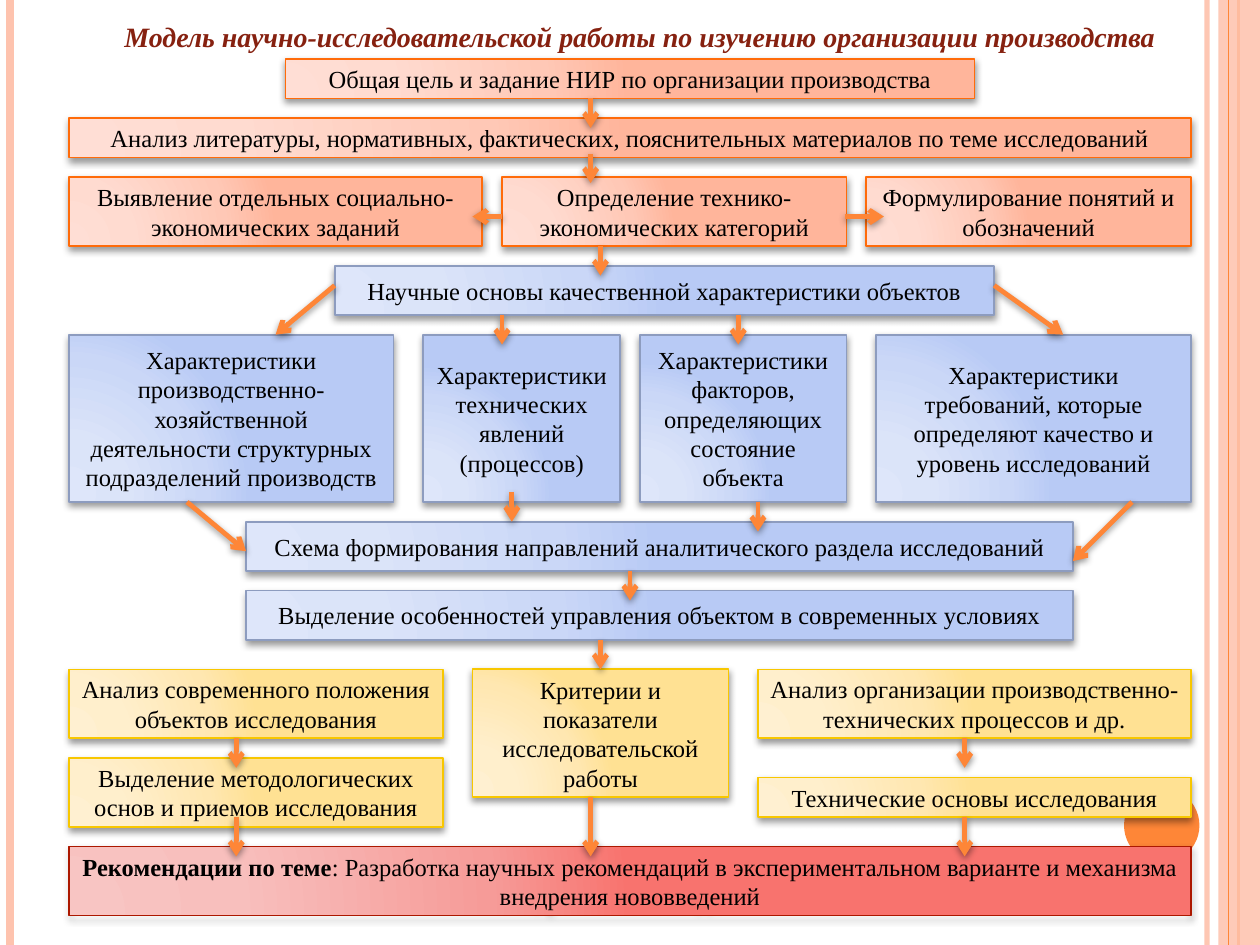
from lxml.etree import SubElement
from pptx import Presentation
from pptx.dml.color import RGBColor as RGB
from pptx.enum.shapes import MSO_CONNECTOR as CONN, MSO_SHAPE as SHAPE
from pptx.enum.text import MSO_ANCHOR as ANCHOR, PP_ALIGN as ALIGN
from pptx.oxml import parse_xml
from pptx.oxml.ns import nsdecls, qn
from pptx.util import Cm, Pt

FONT = "Times New Roman"
BLACK = RGB(0x00, 0x00, 0x00)
TITLE_RED = RGB(0x86, 0x21, 0x10)
ORANGE = RGB(0xFE, 0x86, 0x37)
PEACH = RGB(0xFE, 0xC3, 0xAE)

# Each palette: outline, then the gradient colours at GRADIENT_STOPS
GRADIENT_STOPS = (0, 30, 75, 100)
CORAL = (RGB(0xFF, 0x6B, 0x0A), RGB(0xFF, 0xDE, 0xD5), RGB(0xFF, 0xDB, 0xD0),
         RGB(0xFF, 0xC8, 0xB6), RGB(0xFF, 0xB5, 0x9B))
BLUE = (RGB(0x8D, 0x9C, 0xBF), RGB(0xDE, 0xE6, 0xFA), RGB(0xDB, 0xE4, 0xF9),
        RGB(0xCA, 0xD7, 0xF7), RGB(0xB8, 0xCA, 0xF5))
YELLOW = (RGB(0xF8, 0xC7, 0x00), RGB(0xFF, 0xF0, 0xD1), RGB(0xFF, 0xEF, 0xCC),
          RGB(0xFF, 0xE7, 0xB1), RGB(0xFF, 0xE1, 0x93))
RED = (RGB(0xAC, 0x18, 0x00), RGB(0xF8, 0xC5, 0xC3), RGB(0xF8, 0xBF, 0xBD),
       RGB(0xF6, 0x9B, 0x98), RGB(0xF8, 0x73, 0x6E))

# The slide is a grid of 128 by 96 square cells.
COLS, ROWS = 128, 96
LEFT, WIDTH = 7, 114

# Blocks: left, top, width, height in cells from the region's corner, then text
GOALS = [
    (22, 0, 70, 4, "Общая цель и задание НИР по организации производства"),
    (0, 6, 114, 4, "Анализ литературы, нормативных, фактических, пояснительных "
                   "материалов по теме исследований"),
    (0, 12, 42, 7, "Выявление отдельных социально-экономических заданий"),
    (44, 12, 35, 7, "Определение технико-экономических категорий"),
    (81, 12, 33, 7, "Формулирование понятий и обозначений"),
]
FOUNDATIONS = [
    (27, 0, 67, 5, "Научные основы качественной характеристики объектов"),
    (0, 7, 33, 17, "Характеристики производственно-хозяйственной деятельности "
                   "структурных подразделений производств"),
    (36, 7, 20, 17, "Характеристики технических явлений (процессов)"),
    (58, 7, 21, 17, "Характеристики факторов, определяющих состояние объекта"),
    (82, 7, 32, 17, "Характеристики требований, которые определяют качество "
                    "и уровень исследований"),
    (18, 26, 84, 5, "Схема формирования направлений аналитического раздела "
                    "исследований"),
    (18, 33, 84, 5, "Выделение особенностей управления объектом в современных "
                    "условиях"),
]
CRITERIA = "Критерии и показатели исследовательской работы"
ANALYSIS = [
    (0, 0, 38, 7, "Анализ современного положения объектов исследования"),
    (41, 0, 26, 13, CRITERIA),
    (70, 0, 44, 7, "Анализ организации производственно-технических процессов и др."),
    (0, 9, 38, 7, "Выделение методологических основ и приемов исследования"),
    (70, 11, 44, 4, "Технические основы исследования"),
]
RECOMMENDATIONS = [
    (0, 0, 114, 7, [("Рекомендации по теме", True),
                    (": Разработка научных рекомендаций в экспериментальном варианте "
                     "и механизма внедрения нововведений", False)]),
]

# Arrows in cells from the diagram's corner: column, start row, end row
DOWN_ARROWS = [
    (53, 4, 7), (53, 9.6, 12.6), (54, 19, 22), (68, 26, 29), (44, 26, 29),
    (45, 44, 47), (70, 45, 48), (57, 52, 55), (17, 69, 72), (91, 69, 72),
    (53, 75, 81), (91, 77, 81), (17, 77, 81),
]
OTHER_ARROWS = [
    (94, 23, 101, 28), (27, 23, 21, 28), (108, 45, 102, 51), (12, 45, 18, 50),
    (44, 16, 41, 16), (78.8, 16, 82.8, 16),
]


def cells(n):
    return Cm(25.4 / COLS * n)


def set_alpha(color_parent, percent):
    color = next(color_parent.iter(qn("a:srgbClr")))
    SubElement(color, qn("a:alpha"), val=str(percent * 1000))


def add_shadow(sp, alpha, dist):
    """Replace the inherited effect with a soft shadow falling straight down."""
    sp._element.spPr.append(parse_xml(
        f'<a:effectLst {nsdecls("a")}><a:outerShdw blurRad="{Pt(4)}" dist="{Pt(dist)}" '
        f'dir="5400000" rotWithShape="0"><a:srgbClr val="{BLACK}">'
        f'<a:alpha val="{alpha * 1000}"/></a:srgbClr></a:outerShdw></a:effectLst>'))


def fill_radial(sp, colors):
    stops = "".join(
        f'<a:gs pos="{pos * 1000}"><a:srgbClr val="{color}"/></a:gs>'
        for pos, color in zip(GRADIENT_STOPS, colors))
    sp._element.spPr.insert(2, parse_xml(
        f'<a:gradFill {nsdecls("a")} rotWithShape="1"><a:gsLst>{stops}</a:gsLst>'
        '<a:path path="circle"><a:fillToRect l="5000" t="100000" r="120000" b="10000"/>'
        '</a:path></a:gradFill>'))


def write(sp, text, size=14, color=BLACK, bold=False, italic=False, anchor=ANCHOR.MIDDLE):
    """Fill sp with centred text: a string, or (string, bold) pairs."""
    tf = sp.text_frame
    tf.word_wrap = True
    tf.vertical_anchor = anchor
    p = tf.paragraphs[0]
    p.alignment = ALIGN.CENTER
    for part, is_bold in [(text, bold)] if isinstance(text, str) else text:
        r = p.add_run()
        r.text = part
        r.font.name, r.font.size = FONT, Pt(size)
        r.font.bold, r.font.italic = is_bold, italic
        r.font.color.rgb = color


def add_line(s, x1, y1, x2, y2, color, weight):
    line = s.shapes.add_connector(CONN.STRAIGHT, x1, y1, x2, y2)
    line.line.color.rgb = color
    line.line.width = Pt(weight)
    return line


def add_frame(s, width, height):
    """Vertical stripes along both edges and the corner disc."""
    def stripe(x, color, weight):
        line = add_line(s, Cm(x), 0, Cm(x), height, color, weight)
        SubElement(line._element.spPr, qn("a:effectLst"))
        return line

    def plain(kind, color, *box):
        sp = s.shapes.add_shape(kind, *box)
        sp.shadow.inherit = False
        sp.fill.solid()
        sp.fill.fore_color.rgb = color
        sp.line.fill.background()
        return sp

    set_alpha(stripe(24.33, PEACH, 3)._element.spPr, 93)
    stripe(0.2, PEACH, 4.5)
    stripe(24.97, ORANGE, 1.5)
    band = plain(SHAPE.RECTANGLE, PEACH, width - Cm(0.84), 0, Cm(0.84), height)
    set_alpha(band._element.spPr, 87)
    stripe(24.77, ORANGE, 0.75)
    plain(SHAPE.OVAL, ORANGE, Cm(22.66), Cm(15.88), Cm(1.52), Cm(1.52))


def add_title(s, left, top, width, height):
    box = s.shapes.add_textbox(cells(left), cells(top), cells(width), cells(height))
    write(box, "Модель научно-исследовательской работы по изучению организации производства",
          size=16, color=TITLE_RED, bold=True, italic=True, anchor=ANCHOR.BOTTOM)


def add_region(s, left, top, palette, blocks):
    """Draw the blocks of one region and return them by text."""
    shapes = {}
    for x, y, w, h, text in blocks:
        sp = s.shapes.add_shape(SHAPE.RECTANGLE, cells(left + x), cells(top + y),
                                cells(w), cells(h))
        fill_radial(sp, palette[1:])
        sp.line.color.rgb = palette[0]
        sp.line.width = Pt(1)
        add_shadow(sp, 40, 2)
        write(sp, text)
        shapes[str(text)] = sp
    return shapes


def add_arrows(s, left, top, criteria):
    def arrow(x1, y1, x2, y2):
        line = add_line(s, cells(left + x1), cells(top + y1),
                        cells(left + x2), cells(top + y2), ORANGE, 2.75)
        SubElement(line.line._get_or_add_ln(), qn("a:tailEnd"), type="arrow")
        add_shadow(line, 42, 1.6)
        return line

    for x, start, end in DOWN_ARROWS:
        arrow(x, start, x, end)
    for ends in OTHER_ARROWS:
        arrow(*ends)
    arrow(54, 59, 54, 62).end_connect(criteria, 0)


def main():
    prs = Presentation()
    prs.slide_width, prs.slide_height = cells(COLS), cells(ROWS)
    s = prs.slides.add_slide(prs.slide_layouts[6])
    add_frame(s, prs.slide_width, prs.slide_height)
    add_title(s, LEFT + 1, 0, WIDTH, 6)
    add_region(s, LEFT, 6, CORAL, GOALS)
    add_region(s, LEFT, 27, BLUE, FOUNDATIONS)
    add_region(s, LEFT, 86, RED, RECOMMENDATIONS)
    analysis = add_region(s, LEFT, 68, YELLOW, ANALYSIS)
    add_arrows(s, LEFT, 6, analysis[CRITERIA])
    prs.save("out.pptx")


if __name__ == "__main__":
    main()
